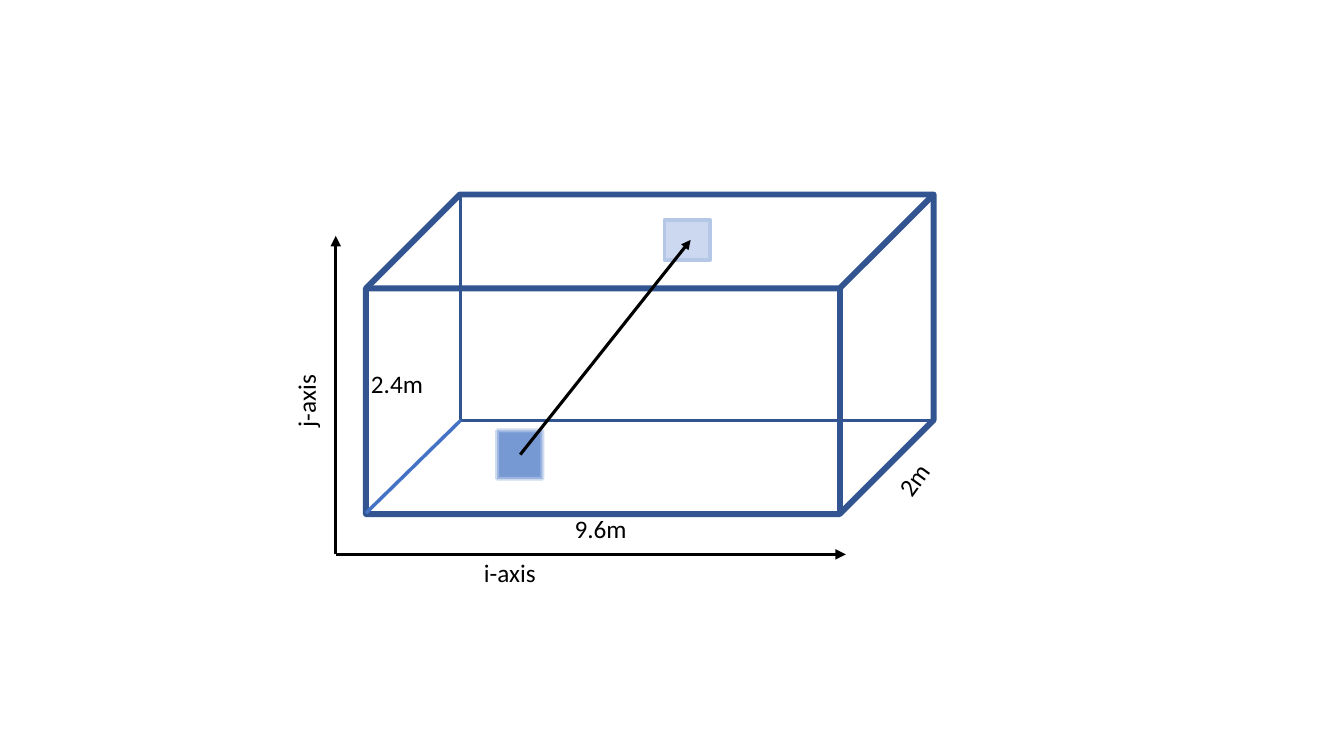
from lxml.etree import SubElement
from pptx import Presentation
from pptx.dml.color import RGBColor
from pptx.enum.shapes import MSO_CONNECTOR, MSO_SHAPE
from pptx.enum.text import MSO_AUTO_SIZE
from pptx.oxml.ns import qn
from pptx.util import Inches, Pt

COLORS = {
    "edge": "325491",
    "accent": "4472C4",
    "pale": "B4C7E7",
    "ink": "000000",
}


class BoxDiagram:
    font_format = {"name": "Calibri", "size": Pt(18)}
    frame_format = {"word_wrap": True, "auto_size": MSO_AUTO_SIZE.SHAPE_TO_FIT_TEXT}

    def __init__(self, slide):
        self.slide = slide

    def apply(self, target, values):
        for name, value in values.items():
            setattr(target, name, value)

    def color(self, name):
        return RGBColor.from_string(COLORS[name])

    def set_alpha(self, fill_parent, percent):
        color = fill_parent.find(qn("a:solidFill"))[0]
        SubElement(color, qn("a:alpha"), val=str(percent * 1000))

    def outline(self, shape, color, width):
        shape.line.color.rgb = self.color(color)
        shape.line.width = Pt(width)

    def shape(self, kind, left, top, width, height, line, weight,
              fill_alpha=None, line_alpha=None):
        shape = self.slide.shapes.add_shape(
            kind, Inches(left), Inches(top), Inches(width), Inches(height))
        shape.shadow.inherit = False
        self.outline(shape, line, weight)
        if fill_alpha is None:
            shape.fill.background()
        else:
            shape.fill.solid()
            shape.fill.fore_color.rgb = self.color("accent")
            self.set_alpha(shape._element.spPr, fill_alpha)
        if line_alpha is not None:
            self.set_alpha(shape.line._get_or_add_ln(), line_alpha)
        return shape

    def line(self, start, end, color, weight, arrow=False):
        connector = self.slide.shapes.add_connector(
            MSO_CONNECTOR.STRAIGHT, *map(Inches, start + end))
        self.outline(connector, color, weight)
        if arrow:
            SubElement(connector.line._get_or_add_ln(), qn("a:tailEnd"), type="triangle")
        SubElement(connector._element.spPr, qn("a:effectLst"))

    def label(self, text, left, top, width, rotation=0):
        box = self.slide.shapes.add_textbox(
            Inches(left), Inches(top), Inches(width), Inches(0.4))
        box.rotation = rotation
        self.apply(box.text_frame, self.frame_format)
        paragraph = box.text_frame.paragraphs[0]
        run = paragraph.add_run()
        run.text = text
        self.apply(run.font, self.font_format)
        run.font.color.rgb = self.color("ink")


def main():
    presentation = Presentation()
    presentation.slide_width = Inches(13.33)
    presentation.slide_height = Inches(7.5)
    slide = presentation.slides.add_slide(presentation.slide_layouts[6])
    diagram = BoxDiagram(slide)

    cube = diagram.shape(MSO_SHAPE.CUBE, 3.63, 1.93, 5.63, 3.17, "edge", 4.25)
    cube.adjustments[0] = 0.294
    diagram.shape(MSO_SHAPE.RECTANGLE, 4.57, 1.93, 4.69, 2.24, "edge", 2.25)
    diagram.line((4.57, 4.17), (3.63, 5.09), "accent", 2.5)

    origin = (3.33, 5.5)
    for axis_end in ((8.39, 5.5), (3.33, 2.34)):
        diagram.line(origin, axis_end, "ink", 2.5, arrow=True)

    for text, left, top, width, rotation in (
        ("i-axis", 4.7, 5.48, 2.65, 0),
        ("j-axis", 2.62, 3.72, 0.83, 270),
        ("9.6m", 5.6, 5.04, 1.31, 0),
        ("2m", 8.52, 4.02, 1.85, 305.6),
        ("2.4m", 3.58, 3.61, 0.78, 0),
    ):
        diagram.label(text, left, top, width, rotation)

    diagram.shape(MSO_SHAPE.RECTANGLE, 4.93, 4.27, 0.45, 0.48, "pale", 2.75,
                  fill_alpha=73, line_alpha=64)
    diagram.shape(MSO_SHAPE.RECTANGLE, 6.59, 2.18, 0.45, 0.4, "pale", 2.75,
                  fill_alpha=27)
    diagram.line((5.16, 4.51), (6.85, 2.38), "ink", 2.25, arrow=True)

    presentation.save("out.pptx")


if __name__ == "__main__":
    main()
